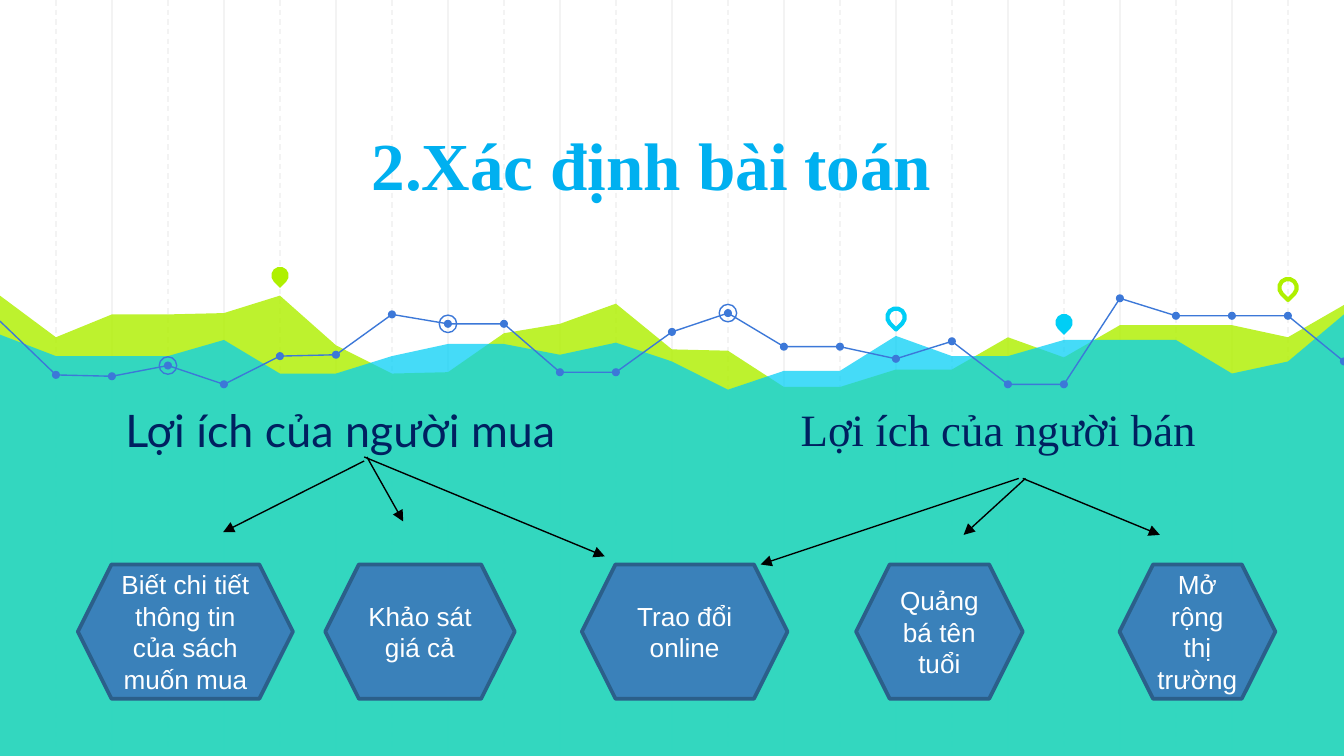
from lxml import etree
from pptx import Presentation
from pptx.dml.color import RGBColor
from pptx.enum.dml import MSO_LINE
from pptx.enum.shapes import MSO_CONNECTOR, MSO_SHAPE
from pptx.enum.text import MSO_ANCHOR, PP_ALIGN
from pptx.oxml.ns import qn
from pptx.util import Inches, Pt

DASH = MSO_LINE.DASH
STRAIGHT = MSO_CONNECTOR.STRAIGHT
OVAL, DROP, HEX = MSO_SHAPE.OVAL, MSO_SHAPE.TEAR, MSO_SHAPE.HEXAGON
TOP, MIDDLE, BOTTOM = MSO_ANCHOR.TOP, MSO_ANCHOR.MIDDLE, MSO_ANCHOR.BOTTOM
LEFT, CENTER, RIGHT = PP_ALIGN.LEFT, PP_ALIGN.CENTER, PP_ALIGN.RIGHT

COLORS = {
    "grid": "F3F3F3", "lime": "AFF000", "cyan": "00CEF6", "blue": "3C78D8",
    "title": "00B0F0", "navy": "002060", "hex": "3A81BA", "edge": "2B5F8A",
    "black": "000000", "white": "FFFFFF",
}
WIDTH = 10
HEIGHT = WIDTH * 9 / 16
STEPS = 24

LIME = [2.2, 2.51, 2.34, 2.34, 2.33, 2.2, 2.57, 2.78, 2.77, 2.48, 2.41, 2.26, 2.6,
        2.61, 2.88, 2.88, 2.75, 2.75, 2.51, 2.66, 2.42, 2.42, 2.42, 2.51, 2.27]
CYAN = [2.49, 2.65, 2.65, 2.65, 2.53, 2.78, 2.78, 2.65, 2.56, 2.56, 2.64, 2.55, 2.69,
        2.9, 2.76, 2.76, 2.5, 2.65, 2.65, 2.53, 2.53, 2.53, 2.78, 2.69, 2.34]
TREND = [2.39, 2.79, 2.8, 2.72, 2.86, 2.65, 2.64, 2.34, 2.41, 2.41, 2.77, 2.77, 2.47,
         2.33, 2.58, 2.58, 2.67, 2.54, 2.86, 2.86, 2.22, 2.35, 2.35, 2.35, 2.69]
RINGS = [3, 8, 13]
PINS = [(5, 2.05, "lime", True), (16, 2.36, "cyan", False),
        (19, 2.4, "cyan", True), (23, 2.14, "lime", False)]

HEXES = [
    (0.58, 1.6, "Biết chi tiết thông tin của sách muốn mua"),
    (2.42, 1.41, "Khảo sát giá cả"),
    (4.33, 1.53, "Trao đổi online"),
    (6.37, 1.24, "Quảng bá tên tuổi"),
    (8.33, 1.16, "Mở rộng thị trường"),
]
ARROWS = [
    (2.71, 3.43, 1.66, 3.96), (2.73, 3.4, 3, 3.88), (2.71, 3.4, 4.5, 4.14),
    (7.58, 3.56, 5.66, 4.2), (7.63, 3.56, 7.17, 3.98), (7.61, 3.56, 8.63, 3.98),
]


def rgb(name):
    return RGBColor.from_string(COLORS[name])


def paint(shape, fill=None, line=None, weight=0.75, alpha=None):
    shape.shadow.inherit = False
    if fill:
        shape.fill.solid()
        shape.fill.fore_color.rgb = rgb(fill)
        if alpha:
            color = shape.fill._xPr.find(qn("a:solidFill"))[0]
            etree.SubElement(color, qn("a:alpha")).set("val", str(alpha * 1000))
    else:
        shape.fill.background()
    if line:
        shape.line.color.rgb = rgb(line)
        shape.line.width = Pt(weight)
    else:
        shape.line.fill.background()


def add_line(slide, x1, y1, x2, y2, color):
    line = slide.shapes.add_connector(STRAIGHT, *map(Inches, (x1, y1, x2, y2)))
    line.line.color.rgb = rgb(color)
    line.line.width = Pt(0.75)
    etree.SubElement(line._element.spPr, qn("a:effectLst"))
    return line


def add_mark(slide, kind, x, y, size):
    box = (x - size / 2, y - size / 2, size, size)
    return slide.shapes.add_shape(kind, *map(Inches, box))


def add_path(slide, points, close):
    spots = [(Inches(x), Inches(y)) for x, y in points]
    path = slide.shapes.build_freeform(*spots[0])
    path.add_line_segments(spots[1:], close=close)
    return path.convert_to_shape()


def set_text(shape, text, font, size, color, align, anchor, bold=False, wrap=True):
    frame = shape.text_frame
    frame.text = text
    frame.word_wrap = wrap
    frame.vertical_anchor = anchor
    para = frame.paragraphs[0]
    para.alignment = align
    style = para.runs[0].font
    style.name, style.size, style.bold = font, Pt(size), bold
    style.color.rgb = rgb(color)


def add_label(slide, box, text, font, size, color, align, anchor, pad=0.1, **style):
    label = slide.shapes.add_textbox(*map(Inches, box))
    label.text_frame.margin_top = label.text_frame.margin_bottom = Inches(pad)
    set_text(label, text, font, size, color, align, anchor, **style)


def add_grid(slide, left, top, width, height):
    for dashed in (False, True):
        for k in range(1 if dashed else 2, STEPS, 2):
            x = left + k * width / STEPS
            line = add_line(slide, x, top, x, top + height, "grid")
            if dashed:
                line.line.dash_style = DASH


def add_scene(slide, left, top, width, height):
    step = width / STEPS

    def plot(values):
        return [(left + k * step, top + y) for k, y in enumerate(values)]

    base = [(left + width, top + height), (left, top + height)]
    for values, color, alpha in ((LIME, "lime", 82), (CYAN, "cyan", 73)):
        paint(add_path(slide, plot(values) + base, True), color, alpha=alpha)

    for k, y, color, solid in PINS:
        pin = add_mark(slide, DROP, left + k * step, top + y, 0.13)
        pin.rotation = 135
        paint(pin, color if solid else None, None if solid else color, 2.25)

    trend = plot(TREND)
    paint(add_path(slide, trend, False), line="blue")
    for x, y in trend[1:]:
        paint(add_mark(slide, OVAL, x, y, 0.06), "blue")
    for k in RINGS:
        paint(add_mark(slide, OVAL, *trend[k], 0.13), line="blue")


def add_heads(slide, left, top):
    add_label(slide, (left + 1.33, top + 0.35, 5.7, 1.27), "2.Xác định bài toán",
              "Times New Roman", 36, "title", RIGHT, BOTTOM, bold=True)
    add_label(slide, (left + 0.79, top + 2.9, 3.44, 0.86), "Lợi ích của người mua",
              "Lato", 24, "navy", RIGHT, TOP)
    add_label(slide, (left + 5.86, top + 2.94, 3.17, 0.5), "Lợi ích của người bán",
              "Times New Roman", 24, "navy", LEFT, TOP, pad=0.05, wrap=False)


def add_hexes(slide, left, top, height):
    for x, width, text in HEXES:
        box = (left + x, top, width, height)
        shape = slide.shapes.add_shape(HEX, *map(Inches, box))
        paint(shape, "hex", "edge", 2)
        set_text(shape, text, "Arial", 14, "white", CENTER, MIDDLE)


def add_arrows(slide, left, top):
    for x1, y1, x2, y2 in ARROWS:
        arrow = add_line(slide, left + x1, top + y1, left + x2, top + y2, "black")
        tail = etree.SubElement(arrow.line._get_or_add_ln(), qn("a:tailEnd"))
        tail.set("type", "triangle")


def main():
    deck = Presentation()
    deck.slide_width, deck.slide_height = Inches(WIDTH), Inches(HEIGHT)
    slide = deck.slides.add_slide(deck.slide_layouts[6])
    slide.background.fill.solid()
    slide.background.fill.fore_color.rgb = rgb("white")
    add_grid(slide, 0, 0, WIDTH, HEIGHT)
    add_scene(slide, 0, 0, WIDTH, HEIGHT)
    add_heads(slide, 0, 0)
    add_hexes(slide, 0, 4.2, 1)
    add_arrows(slide, 0, 0)
    deck.save("out.pptx")


if __name__ == "__main__":
    main()
